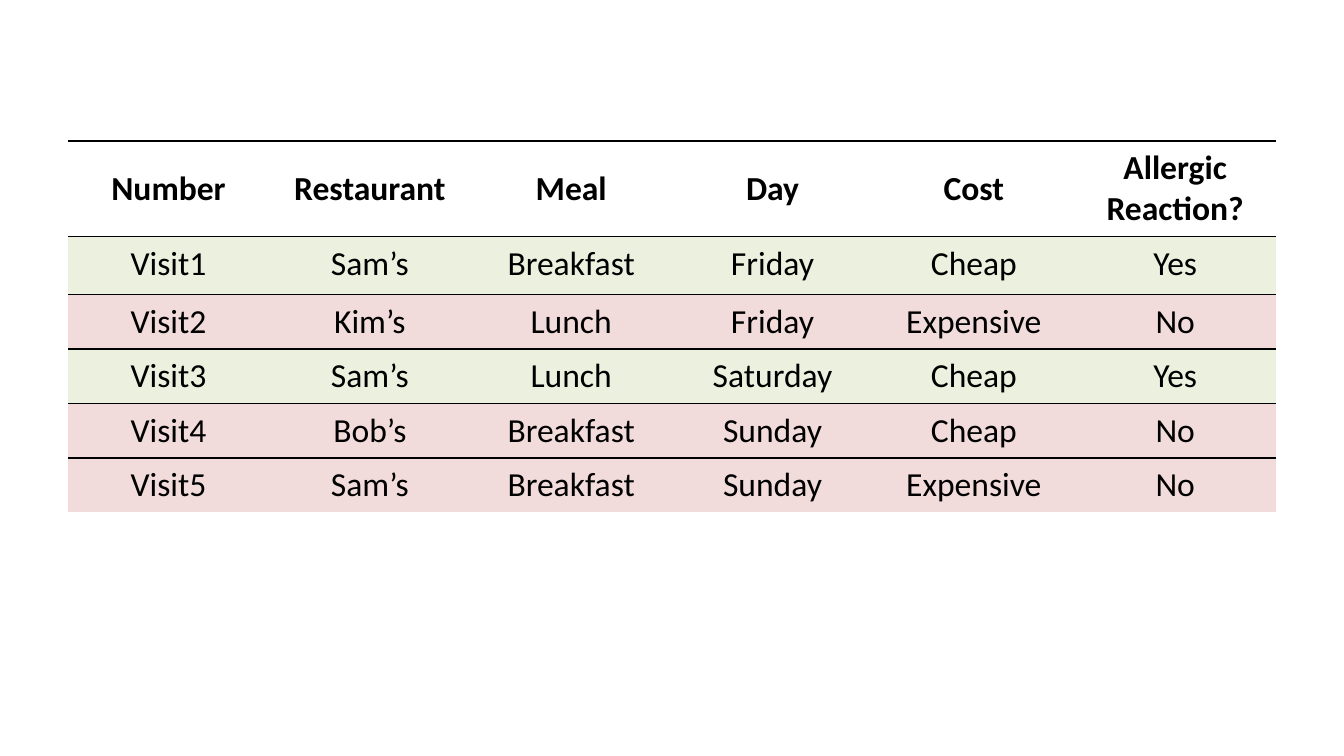
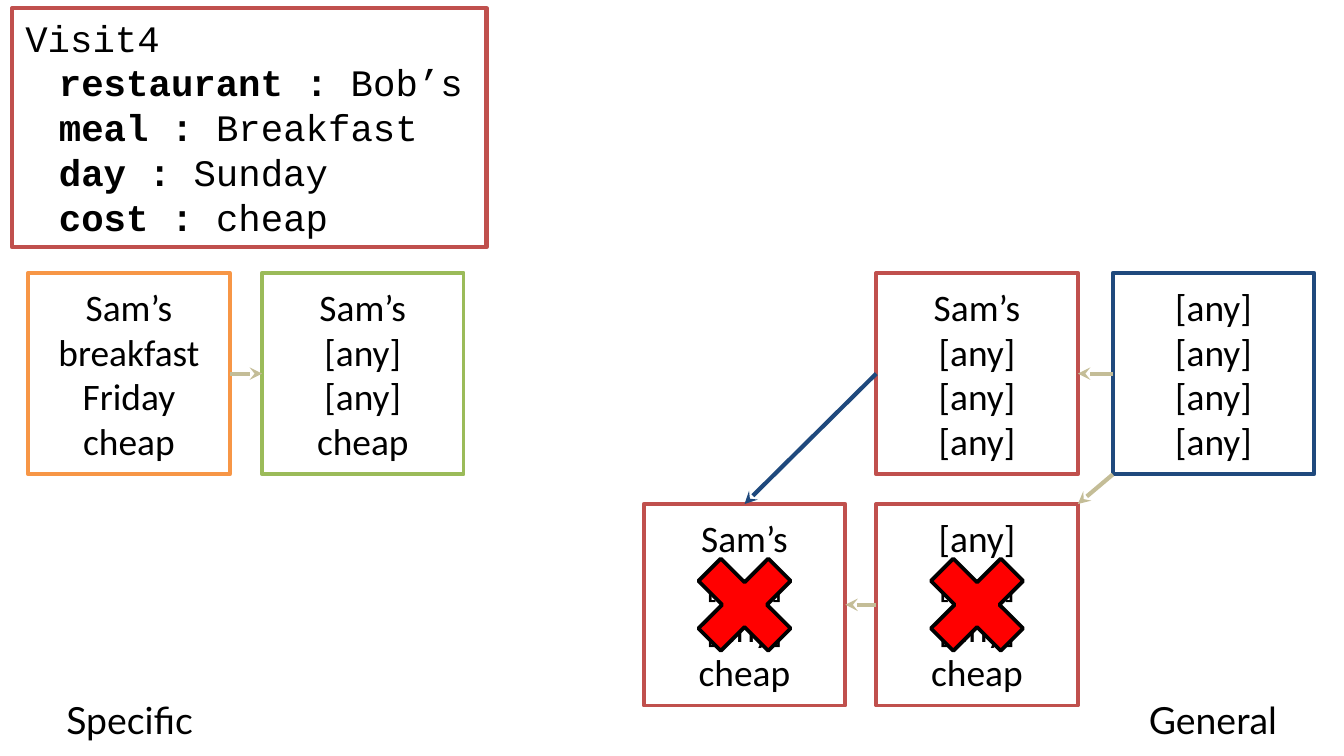
import pptx
import pptx.util
import pptx.dml.color
import pptx.enum.shapes
import pptx.enum.text
import pptx.oxml
import pptx.oxml.ns
import lxml.etree

PX = 4572  # EMU in one px, 200 px to the inch
BLACK, WHITE = "000000", "FFFFFF"
RED, BLUE, ORANGE, GREEN, TAN = "C0504D", "1F497D", "F79646", "9BBB59", "C4BD97"
PALE_GREEN, PALE_RED = "EBF1DE", "F2DCDB"
NO_STYLE_NO_GRID = "{2D5ABB26-0587-4C30-8999-92F81FD0307C}"

SHAPES = pptx.enum.shapes.MSO_SHAPE
ALIGN = pptx.enum.text.PP_ALIGN
ANCHOR = pptx.enum.text.MSO_ANCHOR
qn = pptx.oxml.ns.qn


def color(hex_text):
    return pptx.dml.color.RGBColor.from_string(hex_text)


def write(frame, lines, font="Calibri", size=20, bold=False, align=ALIGN.CENTER, tab=None):
    """Fill a text frame; a line is a string or a list of (text, bold) runs."""
    for number, line in enumerate(lines):
        paragraph = frame.add_paragraph() if number else frame.paragraphs[0]
        paragraph.alignment = align
        if tab:
            tabs = lxml.etree.SubElement(paragraph._p.get_or_add_pPr(), qn("a:tabLst"))
            lxml.etree.SubElement(tabs, qn("a:tab"), pos=str(tab * PX), algn="l")
        for text, run_bold in [(line, bold)] if isinstance(line, str) else line:
            run = paragraph.add_run()
            run.text = text
            run.font.name = font
            run.font.size = pptx.util.Pt(size)
            run.font.bold = run_bold
            run.font.color.rgb = color(BLACK)


presentation = pptx.Presentation()
presentation.slide_width = 2000 * PX
presentation.slide_height = 1125 * PX
blank_layout = presentation.slide_layouts[6]

# Slide 1: table of visits
slide = presentation.slides.add_slide(blank_layout)
visits = [
    ["Number", "Restaurant", "Meal", "Day", "Cost", "Allergic Reaction?"],
    ["Visit1", "Sam’s", "Breakfast", "Friday", "Cheap", "Yes"],
    ["Visit2", "Kim’s", "Lunch", "Friday", "Expensive", "No"],
    ["Visit3", "Sam’s", "Lunch", "Saturday", "Cheap", "Yes"],
    ["Visit4", "Bob’s", "Breakfast", "Sunday", "Cheap", "No"],
    ["Visit5", "Sam’s", "Breakfast", "Sunday", "Expensive", "No"],
]
table = slide.shapes.add_table(
    len(visits), len(visits[0]), 101 * PX, 210 * PX, 1798 * PX, 550 * PX).table
table.horz_banding = False
table.first_row = False
table._tbl.tblPr.find(qn("a:tableStyleId")).text = NO_STYLE_NO_GRID

for row_number, visit in enumerate(visits):
    is_header = row_number == 0
    is_last = row_number == len(visits) - 1
    table.rows[row_number].height = (86 if row_number == 1 else 81) * PX
    for column_number, text in enumerate(visit):
        cell = table.cell(row_number, column_number)
        for edge in ["lnT"] if is_last else ["lnT", "lnB"]:
            cell._tc.get_or_add_tcPr().append(pptx.oxml.parse_xml(
                f'<a:{edge} {pptx.oxml.ns.nsdecls("a")} w="12700"><a:solidFill>'
                f'<a:srgbClr val="{BLACK}"/></a:solidFill></a:{edge}>'))
        if is_header:
            cell.fill.background()
            cell.vertical_anchor = ANCHOR.MIDDLE
        else:
            cell.fill.solid()
            cell.fill.fore_color.rgb = color(PALE_GREEN if visit[-1] == "Yes" else PALE_RED)
        write(cell.text_frame, [text], size=18, bold=is_header)

# Slide 2: specific and general models after Visit4
slide = presentation.slides.add_slide(blank_layout)


def add_box(kind, left, top, width, height, fill, line, line_width=2):
    shape = slide.shapes.add_shape(kind, left * PX, top * PX, width * PX, height * PX)
    shape.shadow.inherit = False
    if fill:
        shape.fill.solid()
        shape.fill.fore_color.rgb = color(fill)
    else:
        shape.fill.background()
    shape.line.color.rgb = color(line)
    shape.line.width = pptx.util.Pt(line_width)
    return shape


CARD = 300
UPPER, LOWER = 406, 750
cards = [
    (42, UPPER, ORANGE, ["Sam’s", "breakfast", "Friday", "cheap"]),
    (390, UPPER, GREEN, ["Sam’s", "[any]", "[any]", "cheap"]),
    (1304, UPPER, RED, ["Sam’s", "[any]", "[any]", "[any]"]),
    (1656, UPPER, BLUE, ["[any]", "[any]", "[any]", "[any]"]),
    (958, LOWER, RED, ["Sam’s", "[any]", "[any]", "cheap"]),
    (1304, LOWER, RED, ["[any]", "[any]", "[any]", "cheap"]),
]
for left, top, line, features in cards:
    frame = add_box(SHAPES.RECTANGLE, left, top, CARD, CARD, WHITE, line).text_frame
    frame.margin_left = frame.margin_right = frame.margin_top = frame.margin_bottom = 0
    frame.vertical_anchor = ANCHOR.MIDDLE
    frame.word_wrap = True
    write(frame, features)
    if top == LOWER:  # rejected models are crossed out
        add_box(SHAPES.MATH_MULTIPLY, left + 50, top + 50, 200, 200, "FF0000", BLACK)

upper_middle, lower_middle = UPPER + CARD // 2, LOWER + CARD // 2
arrows = [
    (342, upper_middle, 390, upper_middle, TAN),
    (1656, upper_middle, 1604, upper_middle, TAN),
    (1656, UPPER + CARD, 1604, LOWER, TAN),
    (1304, lower_middle, 1258, lower_middle, TAN),
    (1304, upper_middle, 1108, LOWER, BLUE),
]
for start_x, start_y, end_x, end_y, line in arrows:
    connector = slide.shapes.add_connector(
        pptx.enum.shapes.MSO_CONNECTOR.STRAIGHT,
        start_x * PX, start_y * PX, end_x * PX, end_y * PX)
    connector.line.color.rgb = color(line)
    connector.line.width = pptx.util.Pt(2.25)
    lxml.etree.SubElement(connector.line._get_or_add_ln(), qn("a:tailEnd"), type="stealth")
    lxml.etree.SubElement(connector._element.spPr, qn("a:effectLst"))

frame = add_box(SHAPES.RECTANGLE, 18, 12, 706, 356, None, RED, 2.25).text_frame
frame.word_wrap = True
frame.vertical_anchor = ANCHOR.TOP
frame.auto_size = pptx.enum.text.MSO_AUTO_SIZE.SHAPE_TO_FIT_TEXT
visit4 = {"restaurant": "Bob’s", "meal": "Breakfast", "day": "Sunday", "cost": "cheap"}
write(frame,
      ["Visit4"] + [[(f"\t{name} : ", True), (value, False)] for name, value in visit4.items()],
      font="Courier New", align=ALIGN.LEFT, tab=50)

for left, label in [(0, "Specific"), (1612, "General")]:
    frame = slide.shapes.add_textbox(left * PX, 1032 * PX, 386 * PX, 78 * PX).text_frame
    frame.word_wrap = True
    frame.vertical_anchor = ANCHOR.MIDDLE
    write(frame, [label], font="Lato")

presentation.save("out.pptx")
